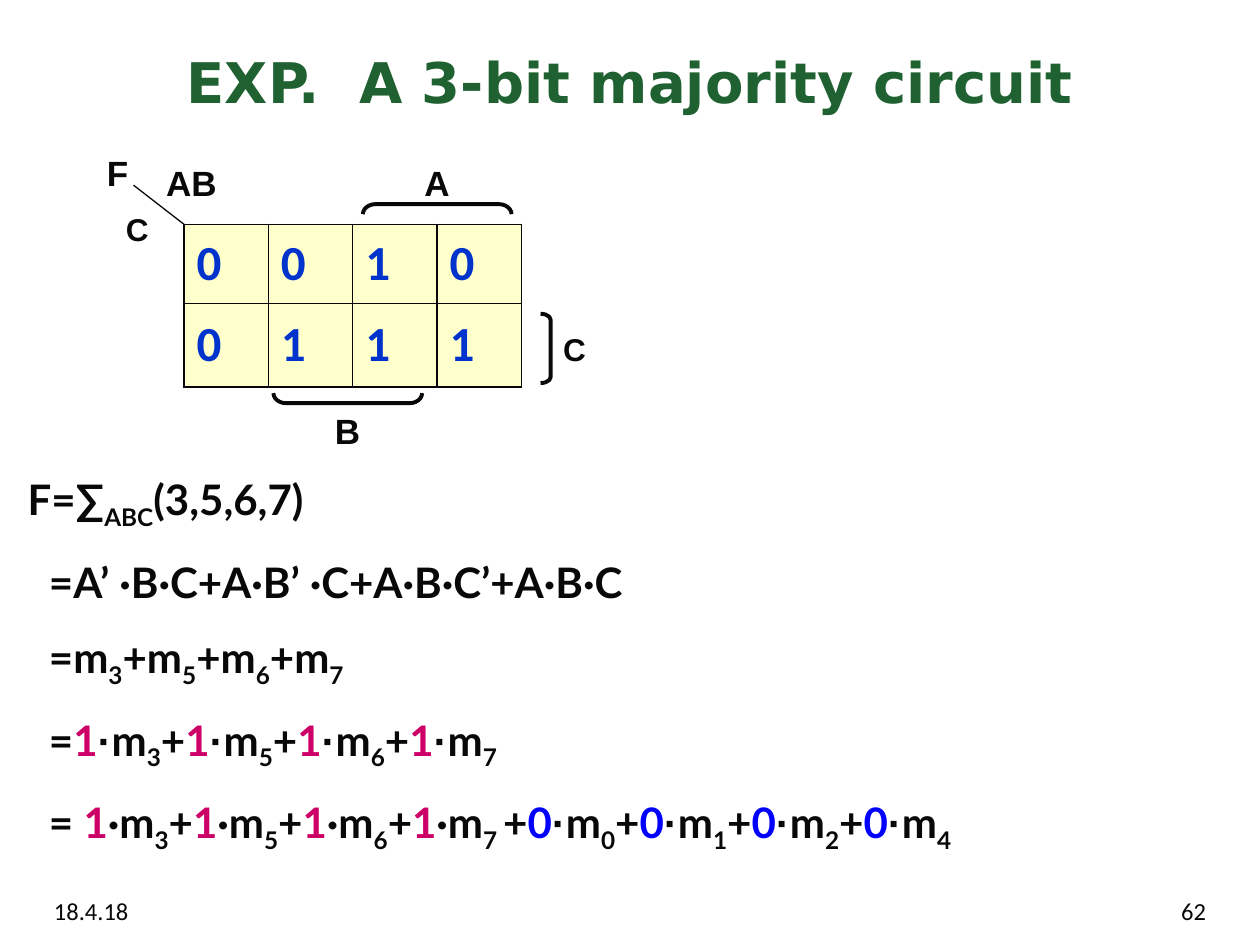
from lxml import etree
from pptx import Presentation
from pptx.dml.color import RGBColor
from pptx.enum.shapes import MSO_CONNECTOR, MSO_SHAPE
from pptx.enum.text import MSO_ANCHOR, PP_ALIGN
from pptx.oxml.ns import qn
from pptx.util import Inches, Pt

LINE = MSO_CONNECTOR.STRAIGHT
BRACKET = MSO_SHAPE.RIGHT_BRACKET
TOP, MIDDLE = MSO_ANCHOR.TOP, MSO_ANCHOR.MIDDLE
LEFT, CENTER, RIGHT = PP_ALIGN.LEFT, PP_ALIGN.CENTER, PP_ALIGN.RIGHT

INK, GREEN, CREAM = "080808", "1F6130", "FFFFCC"
NAVY, PINK, BLUE = "0033CC", "CC0066", "0000FF"
SUB = {"sub": True}


def color(text):
    return RGBColor.from_string(text)


class Deck:
    def __init__(self):
        self.show = Presentation()
        self.show.slide_width = Inches(10)
        self.show.slide_height = Inches(7.5)
        self.slide = self.show.slides.add_slide(self.show.slide_layouts[6])
        self.shapes = self.slide.shapes

    def run(self, para, text, size, face, ink=INK, bold=True, sub=False):
        run = para.add_run()
        run.text = text
        font = run.font
        font.size, font.name, font.bold = Pt(size), face, bold
        font.color.rgb = color(ink)
        if sub:
            run._r.get_or_add_rPr().set("baseline", "-25000")

    def box(self, x, y, w, h, anchor=TOP):
        area = self.shapes.add_textbox(Inches(x), Inches(y), Inches(w), Inches(h))
        frame = area.text_frame
        frame.word_wrap = True
        frame.vertical_anchor = anchor
        return frame

    def label(self, text, x, y, w, h, size=20, face="Arial", ink=INK,
              bold=True, align=LEFT, anchor=TOP):
        para = self.box(x, y, w, h, anchor).paragraphs[0]
        para.alignment = align
        self.run(para, text, size, face, ink, bold)

    def proof(self, x, y, w, h, lines, size, gap, indent):
        frame = self.box(x, y, w, h)
        for i, line in enumerate(lines):
            para = frame.add_paragraph() if i else frame.paragraphs[0]
            if i:
                para.space_before = Pt(gap)
                props = para._p.get_or_add_pPr()
                props.set("marL", str(Inches(indent)))
                props.set("indent", "0")
            for text, style in line:
                self.run(para, text, size, **{"face": "Lato", **style})

    def border(self, cell):
        props = cell._tc.get_or_add_tcPr()
        for side in ("lnL", "lnR", "lnT", "lnB"):
            edge = etree.SubElement(props, qn("a:" + side), w=str(Pt(1)))
            fill = etree.SubElement(edge, qn("a:solidFill"))
            etree.SubElement(fill, qn("a:srgbClr"), val=INK)

    def grid(self, x, y, width, heights, rows):
        count = len(rows[0])
        table = self.shapes.add_table(
            len(rows), count, Inches(x), Inches(y),
            Inches(width * count), Inches(sum(heights))).table
        table.first_row = table.horz_banding = False
        for col in table.columns:
            col.width = Inches(width)
        for r, row in enumerate(rows):
            table.rows[r].height = Inches(heights[r])
            for c, text in enumerate(row):
                cell = table.cell(r, c)
                self.border(cell)
                cell.fill.solid()
                cell.fill.fore_color.rgb = color(CREAM)
                cell.vertical_anchor = MIDDLE
                self.run(cell.text_frame.paragraphs[0], text, 28, "Calibri", NAVY)

    def line(self, x1, y1, x2, y2):
        line = self.shapes.add_connector(
            LINE, Inches(x1), Inches(y1), Inches(x2), Inches(y2))
        line.line.color.rgb = color(INK)
        line.line.width = Pt(0.75)
        etree.SubElement(line._element.spPr, qn("a:effectLst"))

    def bracket(self, x, y, h, bend, turn=0):
        shape = self.shapes.add_shape(
            BRACKET, Inches(x), Inches(y), Inches(0.08), Inches(h))
        shape.adjustments[0] = bend
        shape.rotation = turn
        shape.shadow.inherit = False
        shape.fill.background()
        shape.line.color.rgb = color(INK)
        shape.line.width = Pt(2.25)


def terms(picks, bit="", ink=INK, dot="Arial"):
    runs = []
    for i, pick in enumerate(picks):
        if i:
            runs.append(("+", {}))
        if bit:
            runs += [(bit, {"ink": ink}), ("·", {"face": dot})]
        runs += [("m", {}), (pick, SUB)]
    return runs


def main():
    deck = Deck()
    foot = {"size": 14, "face": "Calibri", "bold": False}
    deck.label("18.4.18", 0.33, 7.06, 2.5, 0.29, **foot)
    deck.label("62", 7.17, 7.06, 2.5, 0.29, align=RIGHT, **foot)
    deck.label("EXP.  A 3-bit majority circuit", 0.33, 0.25, 9.34, 0.78,
               32, "DejaVu Sans", GREEN, align=CENTER, anchor=MIDDLE)

    deck.grid(1.46, 1.78, 0.67, (0.63, 0.66), ("0010", "0111"))
    deck.line(1.46, 1.78, 1.06, 1.47)
    for text, x, y, w in (("F", 0.75, 1.15, 0.39), ("AB", 1.22, 1.23, 0.71),
                          ("A", 3.27, 1.23, 0.47), ("B", 2.56, 3.2, 0.39)):
        deck.label(text, x, y, w, 0.43)
    for x, y in ((0.9, 1.62), (4.37, 2.57)):
        deck.label("C", x, y, 0.39, 0.4, 18)
    deck.bracket(4.29, 2.49, 0.55, 0.59)
    deck.bracket(2.72, 2.57, 1.18, 1.26, 90)
    deck.bracket(3.43, 1.07, 1.18, 1.26, 270)

    ones, zeros = "3567", "0124"
    start = ("=", {})
    lines = [
        [("F=∑", {}), ("ABC", SUB), ("(3,5,6,7)", {})],
        [("=A’ ·B·C+A·B’ ·C+A·B·C’+A·B·C", {})],
        [start] + terms(ones),
        [start] + terms(ones, "1", PINK),
        [("= ", {})] + terms(ones, "1", PINK, "Lato")
        + [(" ", SUB), ("+", {})] + terms(zeros, "0", BLUE),
    ]
    deck.proof(0.12, 3.71, 9.69, 2.9, lines, 24, 14.4, 0.17)
    deck.show.save("out.pptx")


if __name__ == "__main__":
    main()
